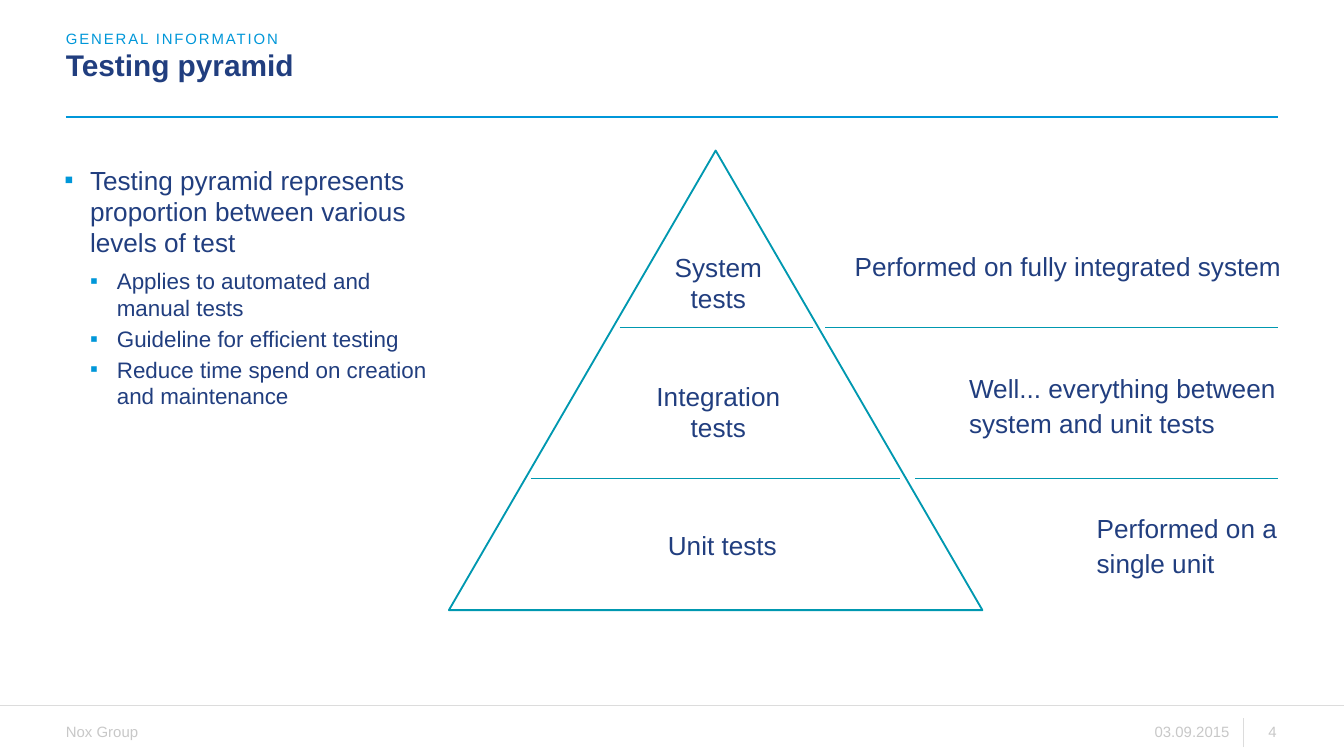
from typing import NamedTuple

from lxml import etree
from pptx import Presentation
from pptx.dml.color import RGBColor
from pptx.enum.shapes import MSO_CONNECTOR, MSO_SHAPE
from pptx.enum.text import MSO_ANCHOR, MSO_AUTO_SIZE, PP_ALIGN
from pptx.oxml.ns import qn
from pptx.util import Inches, Pt

NAVY = RGBColor(0x21, 0x3E, 0x7F)
BLUE = RGBColor(0x00, 0x97, 0xD9)
TEAL = RGBColor(0x00, 0x98, 0xB0)
WHITE = RGBColor(0xFF, 0xFF, 0xFF)
RULE_GREY = RGBColor(0xDC, 0xDC, 0xDC)
TEXT_GREY = RGBColor(0xC8, 0xC8, 0xC8)

LEFT, CENTER, RIGHT = PP_ALIGN.LEFT, PP_ALIGN.CENTER, PP_ALIGN.RIGHT
TOP, MIDDLE, BOTTOM = MSO_ANCHOR.TOP, MSO_ANCHOR.MIDDLE, MSO_ANCHOR.BOTTOM
STRAIGHT = MSO_CONNECTOR.STRAIGHT
TRIANGLE = MSO_SHAPE.ISOSCELES_TRIANGLE
NO_FIT = MSO_AUTO_SIZE.NONE

FONT = "Arial"
MARGIN, EDGE = 0.49, 9.51


class Rule(NamedTuple):
    x1: float
    y1: float
    x2: float
    y2: float
    color: RGBColor
    width: float


class Label(NamedTuple):
    text: str
    x: float
    y: float
    w: float
    h: float
    align: PP_ALIGN = LEFT


class Bullet(NamedTuple):
    text: str
    level: int


def set_frame(tf, anchor: MSO_ANCHOR, wrap: bool = True) -> None:
    tf.margin_left = tf.margin_right = tf.margin_top = tf.margin_bottom = 0
    tf.auto_size = NO_FIT
    tf.vertical_anchor = anchor
    tf.word_wrap = wrap


def set_font(p, size: float, color: RGBColor, bold: bool = False) -> None:
    for r in p.runs:
        r.font.name = FONT
        r.font.size = Pt(size)
        r.font.color.rgb = color
        r.font.bold = bold


def add_rule(s, rule: Rule) -> None:
    ends = [Inches(v) for v in rule[:4]]
    line = s.shapes.add_connector(STRAIGHT, *ends)
    line.line.color.rgb = rule.color
    line.line.width = Pt(rule.width)
    etree.SubElement(line._element.spPr, qn("a:effectLst"))


def add_label(s, label: Label, size: float = 14, color: RGBColor = NAVY,
              anchor: MSO_ANCHOR = TOP, wrap: bool = True, gap: float = 1):
    box = [Inches(v) for v in label[1:5]]
    tf = s.shapes.add_textbox(*box).text_frame
    set_frame(tf, anchor, wrap)
    tf.text = label.text
    for p in tf.paragraphs:
        p.alignment = label.align
        p.space_before = p.space_after = Pt(gap)
        set_font(p, size, color)
    return tf


def format_bullet(p, level: int) -> None:
    p.level = level
    p.space_before = Pt(2 if level else 0)
    p.space_after = Pt(0 if level else 3)
    set_font(p, 12 if level else 14, NAVY)
    pPr = p._p.get_or_add_pPr()
    pPr.set("marL", str(Inches(0.39 if level else 0.19)))
    pPr.set("indent", str(Inches(-0.2 if level else -0.19)))
    color = etree.SubElement(pPr, qn("a:buClr"))
    etree.SubElement(color, qn("a:srgbClr"), val=str(BLUE))
    etree.SubElement(pPr, qn("a:buFont"), typeface=FONT)
    etree.SubElement(pPr, qn("a:buChar"), char="▪")


def add_bullets(s, bullets: list[Bullet]) -> None:
    tf = s.shapes.add_textbox(Inches(0.48), Inches(1.22), Inches(2.86), Inches(3.68)).text_frame
    set_frame(tf, TOP)
    tf.text = "\n".join(b.text for b in bullets)
    for p, b in zip(tf.paragraphs, bullets):
        format_bullet(p, b.level)


FRAME_RULES = [
    Rule(MARGIN, 0.87, EDGE, 0.87, BLUE, 0.75),
    Rule(-0.03, 5.25, 10.03, 5.25, RULE_GREY, 0.75),
    Rule(9.25, 5.56, 9.25, 5.34, RULE_GREY, 0.75),
]
FOOTERS = [
    Label("Nox Group", MARGIN, 5.38, 0.57, 0.13),
    Label("03.09.2015", 8.58, 5.38, 0.57, 0.13, RIGHT),
    Label("4", 9.28, 5.38, 0.22, 0.13, RIGHT),
]
BULLETS = [
    Bullet("Testing pyramid represents proportion between various levels of test", 0),
    Bullet("Applies to automated and manual tests", 1),
    Bullet("Guideline for efficient testing", 1),
    Bullet("Reduce time spend on creation and maintenance", 1),
]
LEVEL_RULES = [
    Rule(x1, y, x2, y, TEAL, 0.5)
    for y, inner_left, inner_right, outer_left in [(2.44, 4.61, 6.05, 6.14), (3.56, 3.95, 6.7, 6.81)]
    for x1, x2 in [(inner_left, inner_right), (outer_left, EDGE)]
]
LEVEL_LABELS = [
    Label("System tests", 4.9, 1.87, 0.89, 0.47, CENTER),
    Label("Integration tests", 4.72, 2.83, 1.25, 0.47, CENTER),
    Label("Unit tests", 4.75, 3.94, 1.25, 0.24, CENTER),
    Label("Performed on fully integrated system", 6.36, 1.86, 4.93, 0.24),
    Label("Performed on a\nsingle unit", 8.16, 3.81, 3.1, 0.5),
    Label("Well... everything between\nsystem and unit tests", 7.21, 2.77, 3.65, 0.5),
]


def main() -> None:
    prs = Presentation()
    prs.slide_width = Inches(10)
    prs.slide_height = prs.slide_width * 9 // 16
    s = prs.slides.add_slide(prs.slide_layouts[5])

    # Header and footer
    for rule in FRAME_RULES:
        add_rule(s, rule)
    for footer in FOOTERS:
        add_label(s, footer, 8, TEXT_GREY, MIDDLE, wrap=False, gap=0)
    section = Label("GENERAL INFORMATION", MARGIN, 0.22, 7.32, 0.13)
    tf = add_label(s, section, 8, BLUE, BOTTOM, gap=0)
    tf.paragraphs[0].runs[0].font._element.set("spc", "100")

    # Title
    title = s.shapes.title
    title.left, title.top = Inches(MARGIN), Inches(0.38)
    title.width, title.height = Inches(7.32), Inches(0.24)
    set_frame(title.text_frame, TOP)
    title.text_frame.text = "Testing pyramid"
    p = title.text_frame.paragraphs[0]
    p.alignment = LEFT
    p.line_spacing = Pt(17)
    set_font(p, 16, NAVY, bold=True)

    add_bullets(s, BULLETS)

    # Pyramid with its levels
    pyramid = s.shapes.add_shape(TRIANGLE, Inches(3.34), Inches(1.12), Inches(3.97), Inches(3.42))
    pyramid.shadow.inherit = False
    pyramid.fill.solid()
    pyramid.fill.fore_color.rgb = WHITE
    pyramid.line.color.rgb = TEAL
    pyramid.line.width = Pt(1)
    for rule in LEVEL_RULES:
        add_rule(s, rule)
    for label in LEVEL_LABELS:
        add_label(s, label)

    prs.save("out.pptx")


if __name__ == "__main__":
    main()
